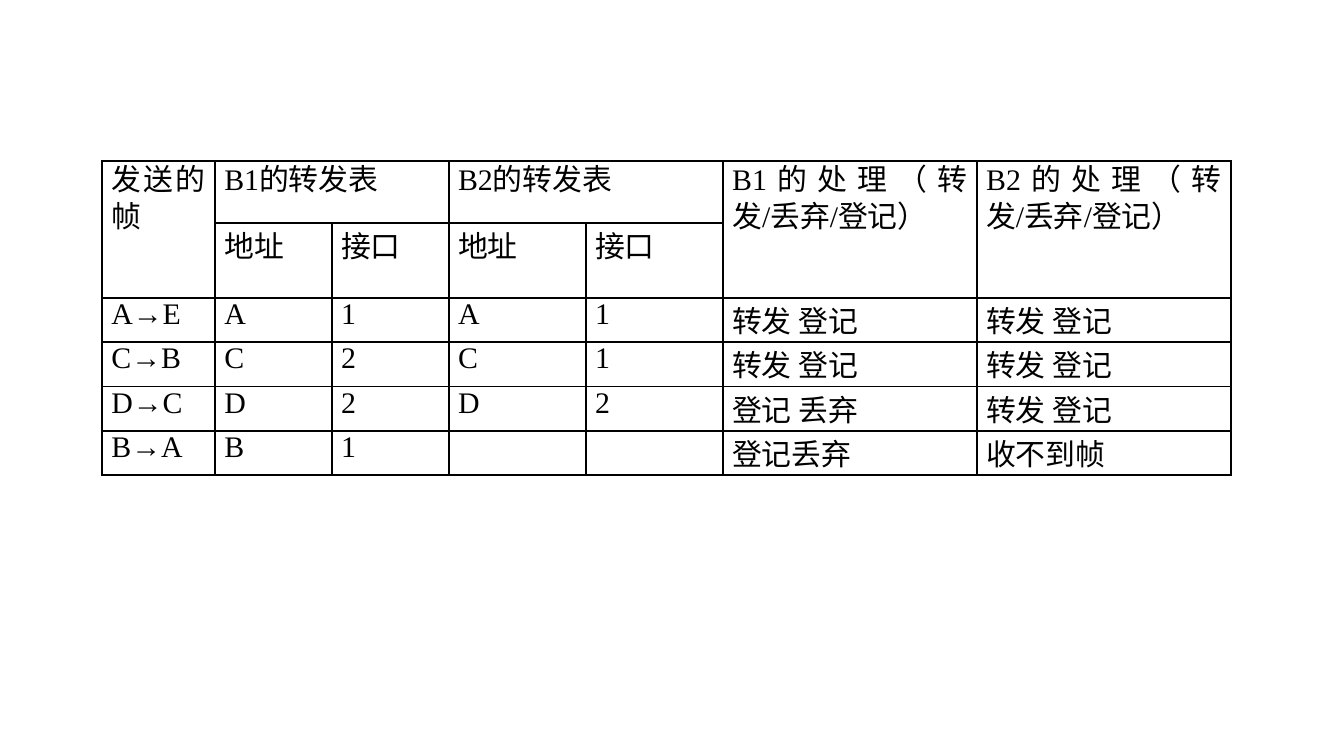
"""Build a slide with the forwarding tables of bridges B1 and B2."""
from dataclasses import dataclass

from lxml.etree import SubElement
from pptx import Presentation
from pptx.dml.color import RGBColor
from pptx.enum.text import PP_ALIGN as Align
from pptx.oxml.ns import qn
from pptx.util import Inches, Pt


@dataclass(frozen=True)
class Theme:
    font: str = "Times New Roman"
    size: Pt = Pt(16)
    header_spacing: Pt = Pt(20)
    ink: str = "000000"
    border: Pt = Pt(1)


def add_borders(cell, theme):
    properties = cell._tc.get_or_add_tcPr()
    for side in ("lnL", "lnR", "lnT", "lnB"):
        line = SubElement(properties, qn(f"a:{side}"), w=str(theme.border))
        fill = SubElement(line, qn("a:solidFill"))
        SubElement(fill, qn("a:srgbClr"), val=theme.ink)


theme = Theme()
column_widths = [0.84, 0.87, 0.87, 1.02, 1.02, 1.89, 1.89]
row_heights = [0.46] * 2 + [0.33] * 4
merges = [(0, 0, 1, 0), (0, 1, 0, 2), (0, 3, 0, 4), (0, 5, 1, 5), (0, 6, 1, 6)]
rows = [
    ["发送的帧", "B1的转发表", "", "B2的转发表", "",
     "B1的处理（转发/丢弃/登记）", "B2的处理（转发/丢弃/登记）"],
    ["", "地址", "接口", "地址", "接口", "", ""],
    ["A→E", "A", "1", "A", "1", "转发 登记", "转发 登记"],
    ["C→B", "C", "2", "C", "1", "转发 登记", "转发 登记"],
    ["D→C", "D", "2", "D", "2", "登记 丢弃", "转发 登记"],
    ["B→A", "B", "1", "", "", "登记丢弃", "收不到帧"],
]

presentation = Presentation()
presentation.slide_width = Inches(10)
presentation.slide_height = Inches(10 * 9 / 16)
slide = presentation.slides.add_slide(presentation.slide_layouts[6])

table = slide.shapes.add_table(
    len(rows), len(column_widths), Inches(0.76), Inches(1.2),
    Inches(sum(column_widths)), Inches(sum(row_heights)),
).table
table.first_row = False
table.horz_banding = False
for column, width in zip(table.columns, column_widths):
    column.width = Inches(width)
for row, height in zip(table.rows, row_heights):
    row.height = Inches(height)
for top, left, bottom, right in merges:
    table.cell(top, left).merge(table.cell(bottom, right))

for row_index, texts in enumerate(rows):
    for column_index, text in enumerate(texts):
        cell = table.cell(row_index, column_index)
        add_borders(cell, theme)
        cell.fill.background()
        cell.margin_left = cell.margin_right = Inches(0.07)
        cell.margin_top = cell.margin_bottom = 0
        if not text:
            continue
        cell.text = text
        paragraph = cell.text_frame.paragraphs[0]
        paragraph.alignment = Align.JUSTIFY
        if row_index == 0:
            paragraph.line_spacing = theme.header_spacing
        paragraph.font.name = theme.font
        paragraph.font.size = theme.size
        paragraph.font.color.rgb = RGBColor.from_string(theme.ink)

presentation.save("out.pptx")
